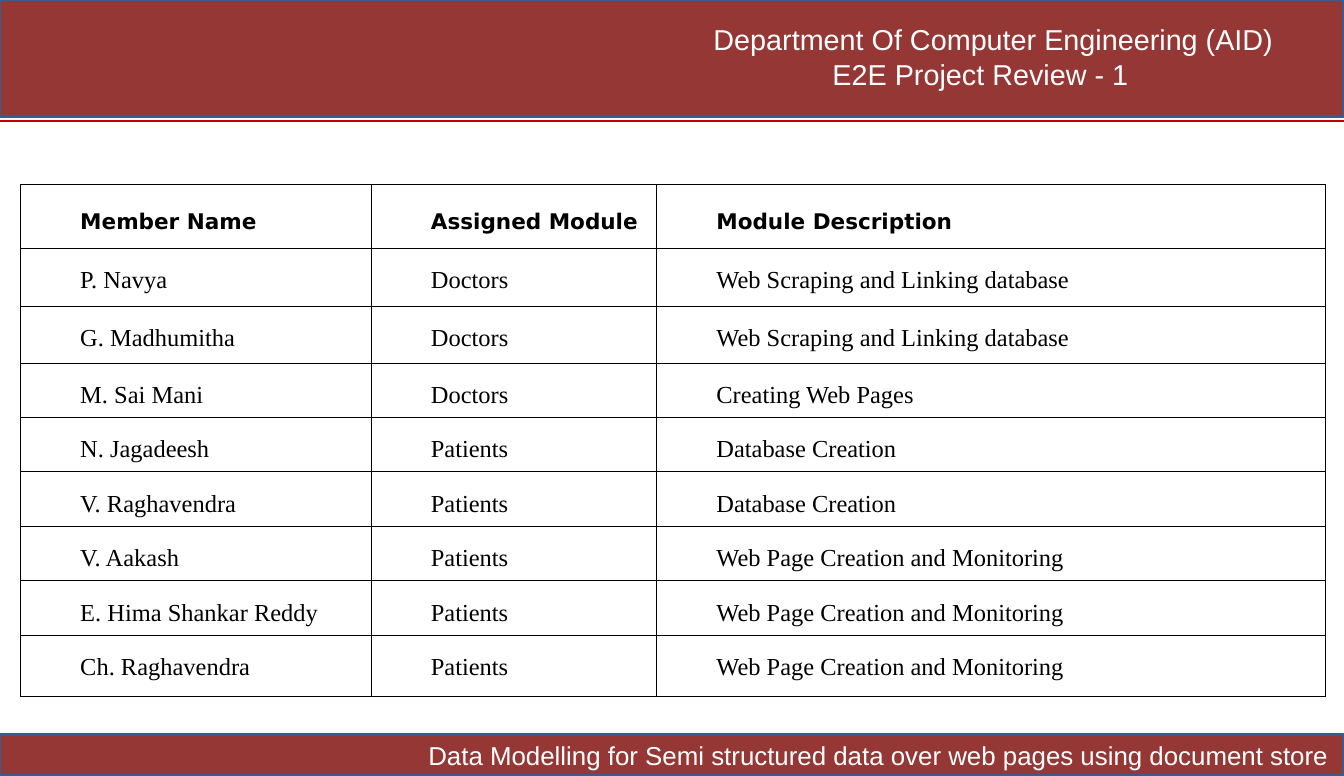
import pptx
import pptx.dml.color
import pptx.enum.shapes
import pptx.enum.text
import pptx.util
from lxml import etree
from pptx.oxml.ns import qn

Cm, Pt = pptx.util.Cm, pptx.util.Pt
RGBColor = pptx.dml.color.RGBColor
Align = pptx.enum.text.PP_ALIGN
Anchor = pptx.enum.text.MSO_ANCHOR

# Content
DEPARTMENT = "Department Of Computer Engineering (AID)"
REVIEW = "E2E Project Review - 1"
PROJECT = "Data Modelling for Semi structured data over web pages using document store"
HEADINGS = ("Member Name", "Assigned Module", "Module Description")
MEMBERS = [
    ("P. Navya", "Doctors", "Web Scraping and Linking database"),
    ("G. Madhumitha", "Doctors", "Web Scraping and Linking database"),
    ("M. Sai Mani", "Doctors", "Creating Web Pages"),
    ("N. Jagadeesh", "Patients", "Database Creation"),
    ("V. Raghavendra", "Patients", "Database Creation"),
    ("V. Aakash", "Patients", "Web Page Creation and Monitoring"),
    ("E. Hima Shankar Reddy", "Patients", "Web Page Creation and Monitoring"),
    ("Ch. Raghavendra", "Patients", "Web Page Creation and Monitoring"),
]

# Colours and sizes (cm)
MAROON = RGBColor(0x95, 0x37, 0x35)
NAVY = RGBColor(0x38, 0x5D, 0x8A)
RED = RGBColor(0xC0, 0x00, 0x00)
WHITE = RGBColor(0xFF, 0xFF, 0xFF)
BLACK = RGBColor(0x00, 0x00, 0x00)
WIDTH, HEIGHT = 33, 19.05
HEADER_HEIGHT, FOOTER_HEIGHT = 2.87, 1.02
FOOTER_TOP = HEIGHT - FOOTER_HEIGHT
RULE_TOP = 2.97
COLUMN_WIDTHS = (8.61, 7.01, 16.41)
ROW_HEIGHTS = (1.57, 1.42, 1.4, 1.17, 1.22, 1.22, 1.22, 1.22, 1.52)


def write(paragraph, text, size, font="Arial", color=WHITE, bold=False,
          align=Align.LEFT, indent=0, spacing=None):
    run = paragraph.add_run()
    run.text = text
    run.font.size, run.font.name, run.font.bold = Pt(size), font, bold
    run.font.color.rgb = color
    paragraph.alignment = align
    paragraph.line_spacing = spacing
    if indent:
        properties = paragraph._p.get_or_add_pPr()
        properties.set("marL", str(Cm(indent)))
        properties.set("indent", "0")


def add_band(slide, top, height):
    band = slide.shapes.add_shape(pptx.enum.shapes.MSO_SHAPE.RECTANGLE,
                                  0, Cm(top), Cm(WIDTH), Cm(height))
    band.shadow.inherit = False
    band.fill.solid()
    band.fill.fore_color.rgb = MAROON
    band.line.color.rgb = NAVY
    band.line.width = Pt(2)


def add_frame(slide, left, top, width, height, wrap):
    frame = slide.shapes.add_textbox(Cm(left), Cm(top), Cm(width), Cm(height)).text_frame
    frame.word_wrap = wrap
    frame.auto_size = pptx.enum.text.MSO_AUTO_SIZE.SHAPE_TO_FIT_TEXT
    return frame


def add_borders(cell):
    properties = cell._tc.get_or_add_tcPr()
    for position, side in enumerate(("lnL", "lnR", "lnT", "lnB")):
        border = etree.Element(qn("a:" + side), w=str(Pt(0.45)))
        fill = etree.SubElement(border, qn("a:solidFill"))
        etree.SubElement(fill, qn("a:srgbClr"), val=str(BLACK))
        properties.insert(position, border)


def main():
    deck = pptx.Presentation()
    deck.slide_width, deck.slide_height = Cm(WIDTH), Cm(HEIGHT)
    slide = deck.slides.add_slide(deck.slide_layouts[6])

    # Header
    add_band(slide, 0, HEADER_HEIGHT)
    header = add_frame(slide, 15.11, 0.41, 18.57, 1.96, wrap=True)
    write(header.paragraphs[0], DEPARTMENT, 20, align=Align.CENTER)
    write(header.add_paragraph(), REVIEW, 20, indent=5.08)
    rule = slide.shapes.add_connector(pptx.enum.shapes.MSO_CONNECTOR.STRAIGHT,
                                      0, Cm(RULE_TOP), Cm(WIDTH), Cm(RULE_TOP))
    rule.line.color.rgb = RED
    rule.line.width = Pt(0.75)
    etree.SubElement(rule._element.spPr, qn("a:effectLst"))

    # Footer
    add_band(slide, FOOTER_TOP, FOOTER_HEIGHT)
    footer = add_frame(slide, 10.26, FOOTER_TOP, 22.61, FOOTER_HEIGHT, wrap=False)
    write(footer.paragraphs[0], PROJECT, 18, align=Align.CENTER)

    # Module assignments
    rows = [HEADINGS] + MEMBERS
    assignments = slide.shapes.add_table(
        len(rows), len(HEADINGS), Cm(0.5), Cm(4.52),
        Cm(sum(COLUMN_WIDTHS)), Cm(sum(ROW_HEIGHTS))).table
    assignments.first_row = assignments.horz_banding = False
    for column, width in zip(assignments.columns, COLUMN_WIDTHS):
        column.width = Cm(width)
    for row, height in zip(assignments.rows, ROW_HEIGHTS):
        row.height = Cm(height)

    for r, entries in enumerate(rows):
        if r == 0:
            look = dict(size=15, font="DejaVu Sans", bold=True)
        else:
            look = dict(size=17, font="Times New Roman")
        for c, entry in enumerate(entries):
            cell = assignments.cell(r, c)
            cell.margin_left = cell.margin_right = Cm(0.2)
            cell.vertical_anchor = Anchor.TOP if r else Anchor.MIDDLE
            cell.fill.background()
            add_borders(cell)
            write(cell.text_frame.paragraphs[0], entry, color=BLACK,
                  indent=1.27, spacing=1.5, **look)

    deck.save("out.pptx")


if __name__ == "__main__":
    main()
